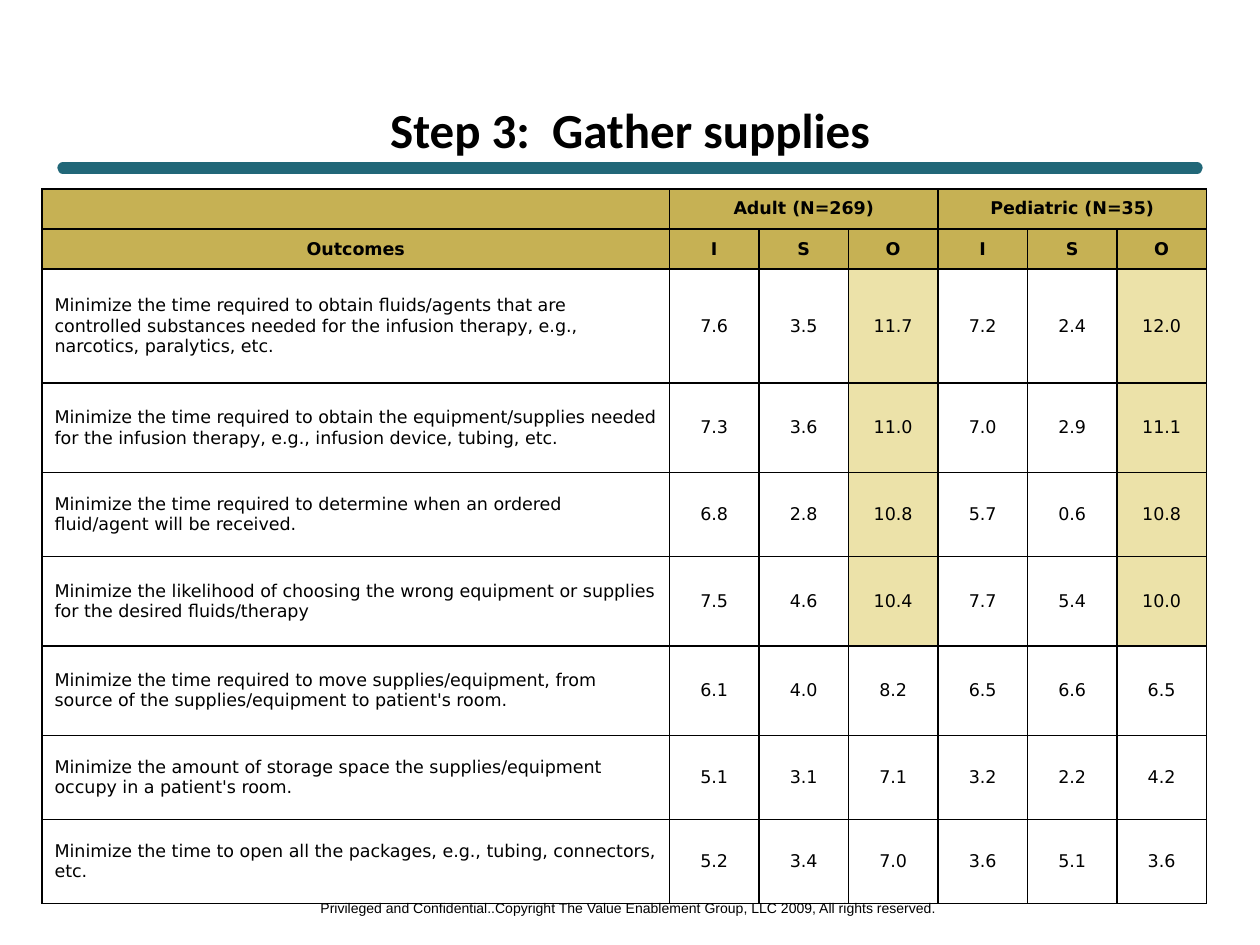
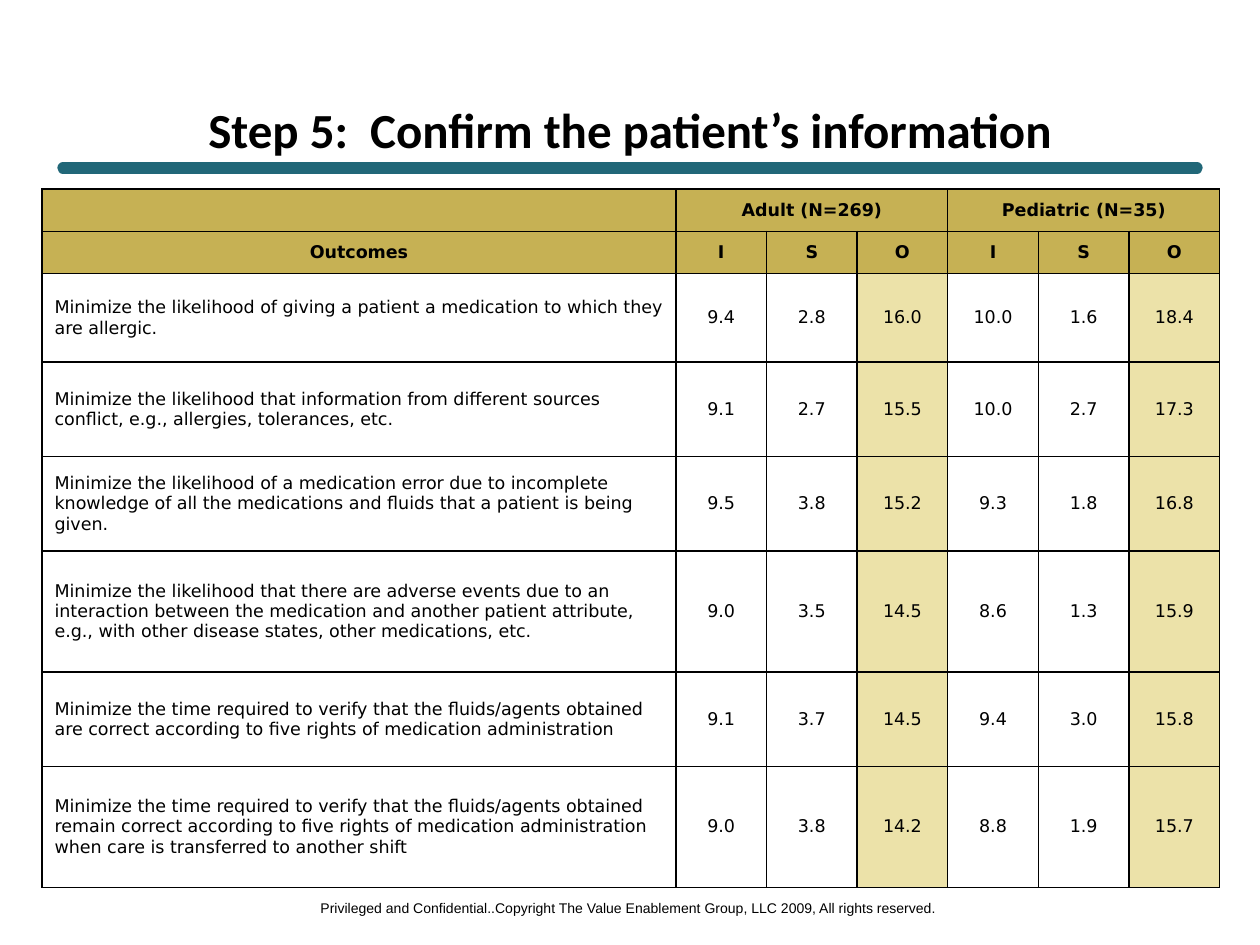
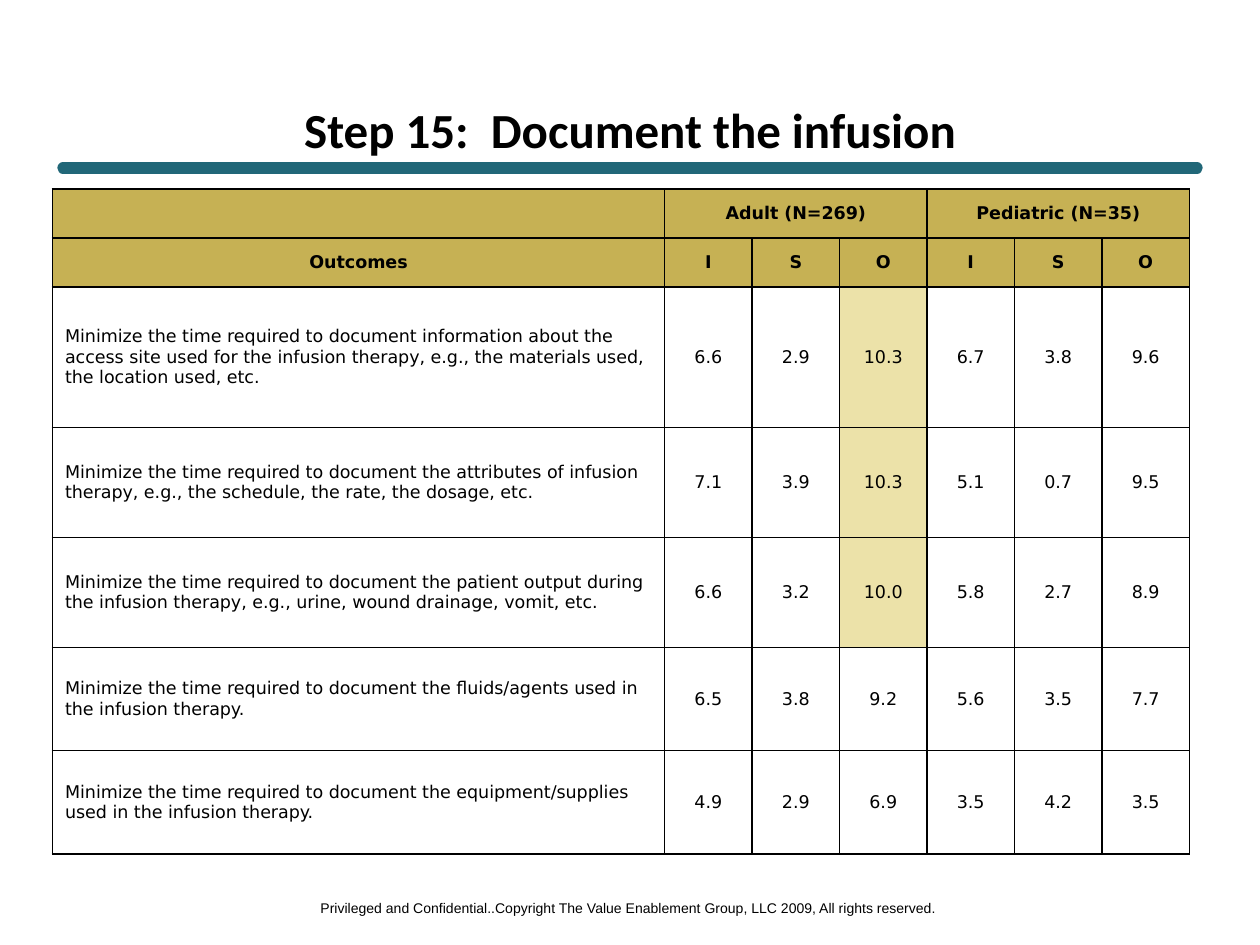
from lxml.etree import SubElement
from pptx import Presentation
from pptx.dml.color import RGBColor
from pptx.enum.shapes import MSO_CONNECTOR
from pptx.enum.text import MSO_ANCHOR, MSO_AUTO_SIZE, PP_ALIGN
from pptx.oxml import parse_xml
from pptx.oxml.ns import nsdecls, qn
from pptx.util import Pt

COLORS = {"rule": "216778", "head": "C6B154", "high": "ECE2A9", "ink": "000000"}
FOOTER = "Privileged and Confidential..Copyright The Value Enablement Group, LLC 2009, All rights reserved."
GROUPS = ["Adult (N=269)", "Pediatric (N=35)"]
MEASURES = ["I", "S", "O"]
HIGH_SCORE = 10

# Each outcome: text, row height, adult (I, S), pediatric (I, S). O = I + max(I - S, 0).
STEPS = [
    {
        "title": "Step 3:  Gather supplies",
        "left": 24, "outcome_w": 358.5, "measure_w": 51.15, "head_h": 22.9,
        "outcomes": [
            ("Minimize the time required to obtain fluids/agents that are controlled substances needed for the infusion therapy, e.g., narcotics, paralytics, etc.",
             65.2, (7.6, 3.5), (7.2, 2.4)),
            ("Minimize the time required to obtain the equipment/supplies needed for the infusion therapy, e.g., infusion device, tubing, etc.",
             51.1, (7.3, 3.6), (7.0, 2.9)),
            ("Minimize the time required to determine when an ordered fluid/agent will be received.",
             48, (6.8, 2.8), (5.7, 0.6)),
            ("Minimize the likelihood of choosing the wrong equipment or supplies for the desired fluids/therapy",
             51.1, (7.5, 4.6), (7.7, 5.4)),
            ("Minimize the time required to move supplies/equipment, from source of the supplies/equipment to patient's room.",
             51.1, (6.1, 4.0), (6.5, 6.6)),
            ("Minimize the amount of storage space the supplies/equipment occupy in a patient's room.",
             48, (5.1, 3.1), (3.2, 2.2)),
            ("Minimize the time to open all the packages, e.g., tubing, connectors, etc.",
             48, (5.2, 3.4), (3.6, 5.1)),
        ],
    },
    {
        "title": "Step 5:  Confirm the patient’s information",
        "left": 24, "outcome_w": 362.2, "measure_w": 51.8, "head_h": 24.2,
        "outcomes": [
            ("Minimize the likelihood of giving a patient a medication to which they are allergic.",
             50.6, (9.4, 2.8), (10.0, 1.6)),
            ("Minimize the likelihood that information from different sources conflict, e.g., allergies, tolerances, etc.",
             54, (9.1, 2.7), (10.0, 2.7)),
            ("Minimize the likelihood of a medication error due to incomplete knowledge of all the medications and fluids that a patient is being given.",
             54, (9.5, 3.8), (9.3, 1.8)),
            ("Minimize the likelihood that there are adverse events due to an interaction between the medication and another patient attribute, e.g., with other disease states, other medications, etc.",
             69.1, (9.0, 3.5), (8.6, 1.3)),
            ("Minimize the time required to verify that the fluids/agents obtained are correct according to five rights of medication administration",
             54, (9.1, 3.7), (9.4, 3.0)),
            ("Minimize the time required to verify that the fluids/agents obtained remain correct according to five rights of medication administration when care is transferred to another shift",
             69.1, (9.0, 3.8), (8.8, 1.9)),
        ],
    },
    {
        "title": "Step 15:  Document the infusion",
        "left": 30, "outcome_w": 349.8, "measure_w": 50, "head_h": 28,
        "outcomes": [
            ("Minimize the time required to document information about the access site used for the infusion therapy, e.g., the materials used, the location used, etc.",
             80.4, (6.6, 2.9), (6.7, 3.8)),
            ("Minimize the time required to document the attributes of infusion therapy, e.g., the schedule, the rate, the dosage, etc.",
             62.8, (7.1, 3.9), (5.1, 0.7)),
            ("Minimize the time required to document the patient output during the infusion therapy, e.g., urine, wound drainage, vomit, etc.",
             62.8, (6.6, 3.2), (5.8, 2.7)),
            ("Minimize the time required to document the fluids/agents used in the infusion therapy.",
             59.1, (6.5, 3.8), (5.6, 3.5)),
            ("Minimize the time required to document the equipment/supplies used in the infusion therapy.",
             59.1, (4.9, 2.9), (3.5, 4.2)),
        ],
    },
]


def rgb(name):
    return RGBColor.from_string(COLORS[name])


def put_text(tf, text, size=10, font="DejaVu Sans", bold=False, align=PP_ALIGN.CENTER):
    p = tf.paragraphs[0]
    p.alignment = align
    if not text:
        p._p.get_or_add_endParaRPr().set("sz", str(size * 100))
        return
    r = p.add_run()
    r.text = text
    r.font.size, r.font.name, r.font.bold = Pt(size), font, bold
    r.font.color.rgb = rgb("ink")


def set_cell(cell, text, fill=None, **fmt):
    put_text(cell.text_frame, text, **fmt)
    cell.vertical_anchor = MSO_ANCHOR.MIDDLE
    tcPr = cell._tc.get_or_add_tcPr()
    for i, side in enumerate("LRTB"):
        tcPr.insert(i, parse_xml(
            f'<a:ln{side} {nsdecls("a")} w="12700"><a:solidFill>'
            f'<a:srgbClr val="{COLORS["ink"]}"/></a:solidFill></a:ln{side}>'))
    if fill:
        cell.fill.solid()
        cell.fill.fore_color.rgb = rgb(fill)
    else:
        cell.fill.background()


def add_frame(s, title):
    rule = s.shapes.add_connector(MSO_CONNECTOR.STRAIGHT, Pt(36), Pt(96), Pt(684), Pt(96))
    rule.line.color.rgb = rgb("rule")
    rule.line.width = Pt(6.5)
    rule.line._get_or_add_ln().set("cap", "rnd")
    SubElement(rule._element.spPr, qn("a:effectLst"))

    tf = s.shapes.add_textbox(Pt(173.5), Pt(510.5), Pt(371.5), Pt(17.3)).text_frame
    tf.word_wrap = False
    tf.auto_size = MSO_AUTO_SIZE.SHAPE_TO_FIT_TEXT
    put_text(tf, FOOTER, size=8, font="Arial")

    sp = s.shapes.title
    sp.left, sp.top, sp.width, sp.height = Pt(36), Pt(60), Pt(648), Pt(27)
    sp.text_frame.auto_size = MSO_AUTO_SIZE.NONE
    sp.text_frame.vertical_anchor = MSO_ANCHOR.MIDDLE
    put_text(sp.text_frame, title, size=28, font="Calibri", bold=True)


def add_outcomes(s, step):
    outcomes, n = step["outcomes"], len(MEASURES)
    widths = [step["outcome_w"]] + [step["measure_w"]] * n * len(GROUPS)
    heights = [step["head_h"]] * 2 + [row[1] for row in outcomes]
    table = s.shapes.add_table(len(heights), len(widths), Pt(step["left"]), Pt(108),
                               Pt(sum(widths)), Pt(sum(heights))).table
    table.first_row = table.horz_banding = False
    for col, width in zip(table.columns, widths):
        col.width = Pt(width)
    for row, height in zip(table.rows, heights):
        row.height = Pt(height)

    group_row = [""]
    for group in GROUPS:
        start = len(group_row)
        table.cell(0, start).merge(table.cell(0, start + n - 1))
        group_row += [group] + [""] * (n - 1)
    for i, labels in enumerate([group_row, ["Outcomes"] + MEASURES * len(GROUPS)]):
        for j, label in enumerate(labels):
            set_cell(table.cell(i, j), label, fill="head", bold=True)

    for i, (outcome, _, *scores) in enumerate(outcomes, 2):
        set_cell(table.cell(i, 0), outcome, align=PP_ALIGN.LEFT)
        for g, (importance, satisfaction) in enumerate(scores):
            opportunity = round(importance + max(importance - satisfaction, 0), 1)
            fills = [None, None, "high" if opportunity >= HIGH_SCORE else None]
            for j, value in enumerate([importance, satisfaction, opportunity]):
                set_cell(table.cell(i, 1 + g * n + j), f"{value:.1f}", fill=fills[j])


def main():
    prs = Presentation()
    prs.slide_width, prs.slide_height = Pt(720), Pt(540)
    for step in STEPS:
        s = prs.slides.add_slide(prs.slide_layouts[5])
        add_frame(s, step["title"])
        add_outcomes(s, step)
    prs.save("out.pptx")


if __name__ == "__main__":
    main()
